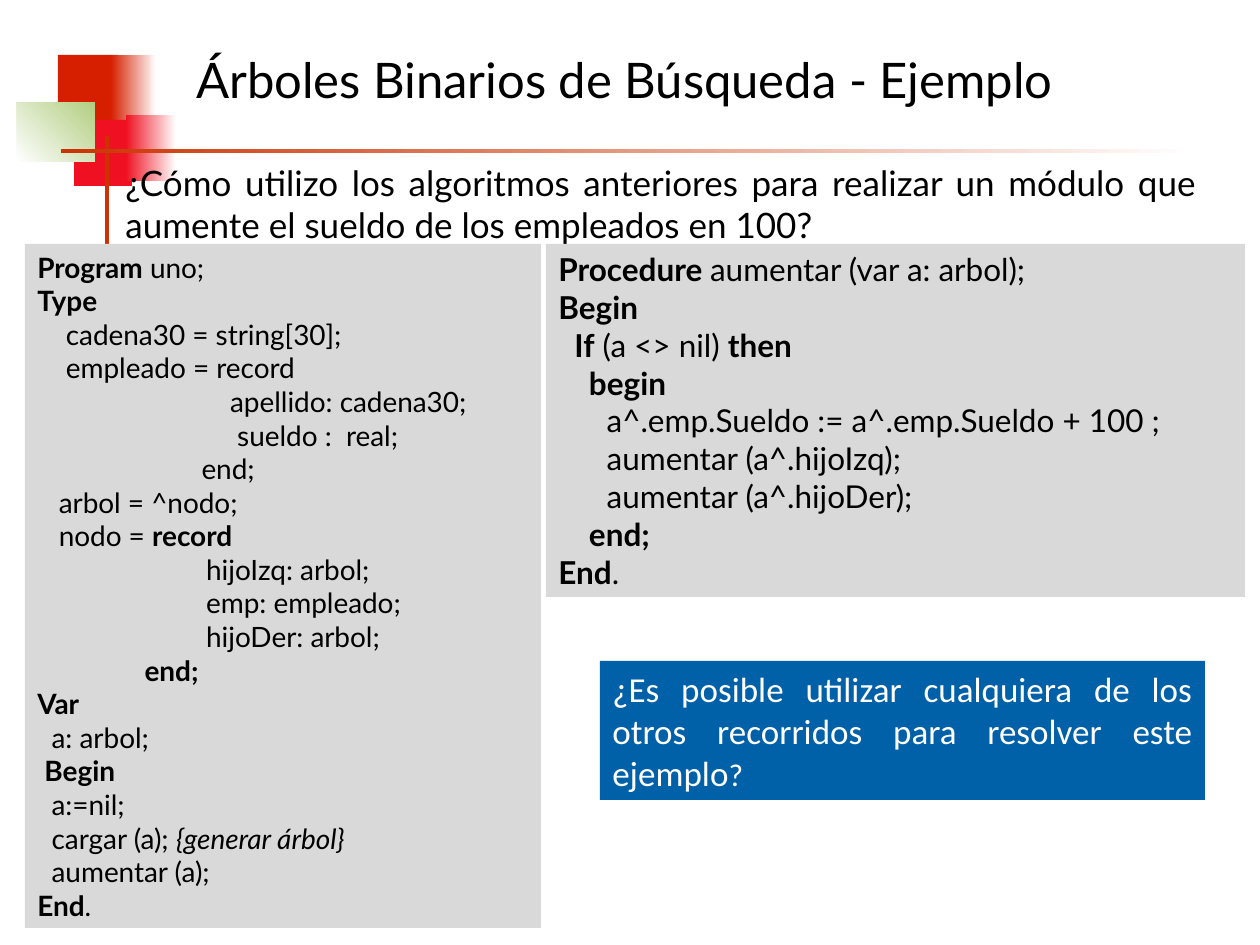
"""Builds the slide on binary search trees with its two code listings."""
import lxml.etree
import pptx
import pptx.dml.color
import pptx.enum.shapes
import pptx.enum.text
import pptx.oxml.ns
import pptx.util

PX = 914400 // 126
ALIGN = pptx.enum.text.PP_ALIGN
ANCHOR = pptx.enum.text.MSO_ANCHOR
COLORS = {
    "black": "000000", "white": "FFFFFF", "red": "D61F00", "crimson": "EF1121",
    "green": "B3CE82", "rust": "CC3300", "gray": "D9D9D9", "blue": "0060A8",
}
DECOR = [
    ((58, 55, 60, 66), ["red"], 0),
    ((111, 55, 45, 66), ["red", "white"], 0),
    ((74, 120, 58, 66), ["crimson"], 0),
    ((126, 115, 50, 66), ["crimson", "white"], 0),
    ((17, 103, 78, 59), ["white", "green"], 45),
    ((105, 136, 4, 145), ["rust"], 0),
    ((61, 149, 1134, 4), ["rust", "white"], 0),
]
TITLE = "Árboles Binarios de Búsqueda - Ejemplo"
QUESTION = ("¿Cómo utilizo los algoritmos anteriores para realizar un módulo que "
            "aumente el sueldo de los empleados en 100?")
FOLLOW_UP = ("¿Es posible utilizar cualquiera de los otros recorridos para "
             "resolver este ejemplo")
PROCEDURE = """*Procedure *aumentar (var a: arbol);
*Begin*
  *If* (a <> nil) *then*
*    begin*
      a^.emp.Sueldo := a^.emp.Sueldo + 100 ;
      aumentar (a^.hijoIzq);
      aumentar (a^.hijoDer);
*    end;*
*End*."""
PROGRAM = """*Program* uno;
*Type*
    cadena30 = string[30];
    empleado = record
                           apellido: cadena30;
                            sueldo :  real;
                       end;
   arbol = ^nodo;
   nodo = *record*
\t      hijoIzq: arbol;
\t      emp: empleado;
\t      hijoDer: arbol;
               *end;*
*Var*
  a: arbol;
 *Begin*
  a:=nil;
  cargar (a); {generar árbol}
  aumentar (a);
*End*."""


def rgb(name):
    """Return the named colour."""
    return pptx.dml.color.RGBColor.from_string(COLORS[name])


def add_block(s, box, colors, angle=0):
    """Add a rectangle with a solid fill or a two-colour gradient."""
    sp = s.shapes.add_shape(pptx.enum.shapes.MSO_SHAPE.RECTANGLE, *(v * PX for v in box))
    sp.shadow.inherit = False
    sp.line.fill.background()
    if len(colors) == 1:
        sp.fill.solid()
        sp.fill.fore_color.rgb = rgb(colors[0])
    else:
        sp.fill.gradient()
        sp.fill.gradient_angle = angle
        for stop, color in zip(sp.fill.gradient_stops, colors):
            stop.color.rgb = rgb(color)
    return sp


def add_label(s, box):
    """Add an empty text box."""
    return s.shapes.add_textbox(*(v * PX for v in box))


def prepare(sp, anchor=ANCHOR.TOP, grow=True):
    """Set wrapping, anchor and fitting of a shape's text."""
    tf = sp.text_frame
    tf.word_wrap = True
    tf.vertical_anchor = anchor
    if grow:
        tf.auto_size = pptx.enum.text.MSO_AUTO_SIZE.SHAPE_TO_FIT_TEXT
    return tf


def style(p, size, color="black", font="Lato", align=ALIGN.JUSTIFY):
    """Set the alignment and font of a paragraph."""
    p.alignment = align
    p.font.size = pptx.util.Pt(size)
    p.font.name = font
    p.font.color.rgb = rgb(color)


def add_tabs(p):
    """Put a left tab stop at every inch."""
    tabs = lxml.etree.SubElement(p._p.get_or_add_pPr(), pptx.oxml.ns.qn("a:tabLst"))
    for inch in range(8):
        lxml.etree.SubElement(tabs, pptx.oxml.ns.qn("a:tab"),
                              pos=str(pptx.util.Inches(inch)), algn="l")


def add_code(s, box, code, size):
    """Add a listing with bold between asterisks and comments in italics."""
    tf = prepare(add_block(s, box, ["gray"]))
    for i, line in enumerate(code.splitlines()):
        p = tf.add_paragraph() if i else tf.paragraphs[0]
        add_tabs(p)
        style(p, size)
        for j, part in enumerate(line.split("*")):
            text, brace, comment = part.partition("{")
            for piece, italic in ((text, False), (brace + comment, True)):
                if piece:
                    r = p.add_run()
                    r.text = piece
                    if j % 2:
                        r.font.bold = True
                    if italic:
                        r.font.italic = True


def main():
    """Build and save the slide."""
    prs = pptx.Presentation()
    prs.slide_width, prs.slide_height = 1260 * PX, 945 * PX
    s = prs.slides.add_slide(prs.slide_layouts[6])
    for box, colors, angle in DECOR:
        add_block(s, box, colors, angle)

    p = prepare(add_label(s, (113, 155, 1096, 97))).paragraphs[0]
    p.text = QUESTION
    style(p, 20)

    add_code(s, (546, 244, 699, 353), PROCEDURE, 18)

    p = prepare(add_label(s, (184, 16, 1022, 126)), ANCHOR.MIDDLE, False).paragraphs[0]
    p.text = TITLE
    style(p, 28, align=ALIGN.LEFT)

    p = prepare(add_block(s, (600, 661, 605, 139), ["blue"])).paragraphs[0]
    p.text = FOLLOW_UP
    style(p, 20, "white", "Calibri")
    r = p.add_run()
    r.text = "?"
    r.font.size = pptx.util.Pt(18)

    add_code(s, (25, 244, 516, 684), PROGRAM, 16)
    prs.save("out.pptx")


if __name__ == "__main__":
    main()
